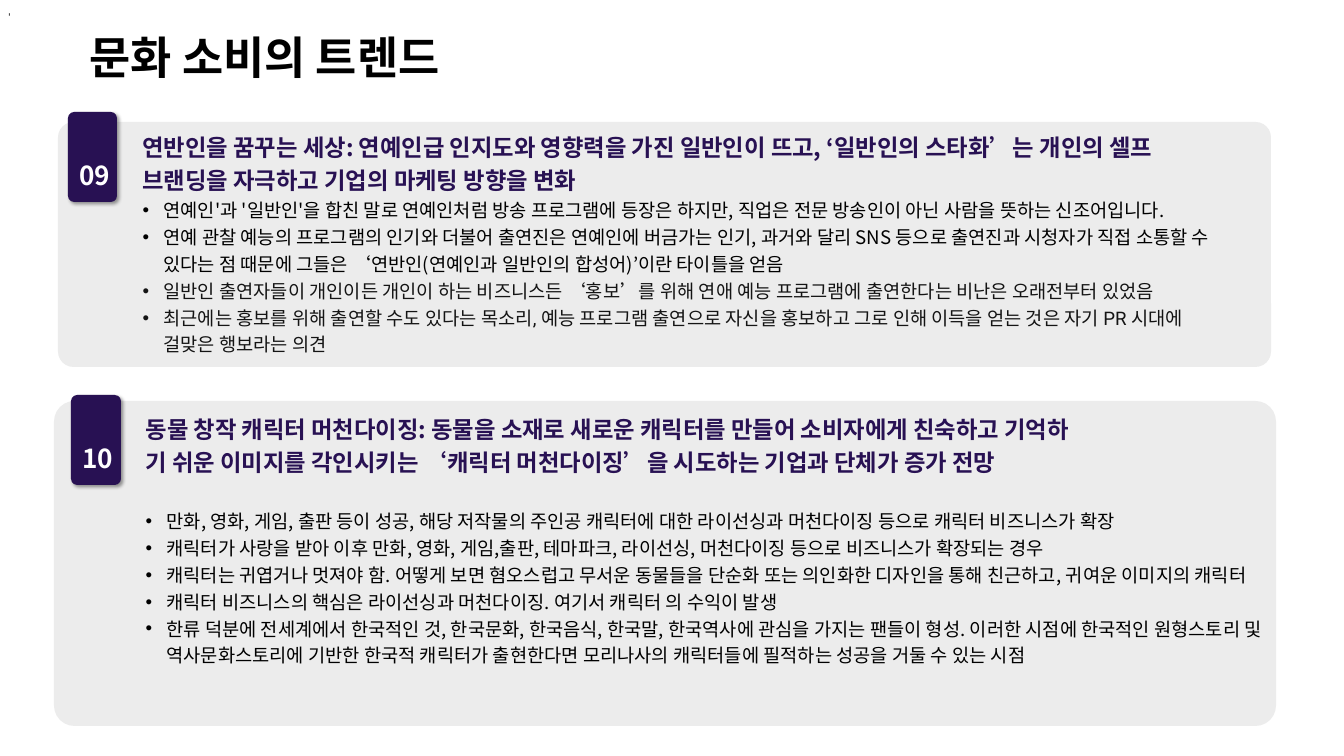
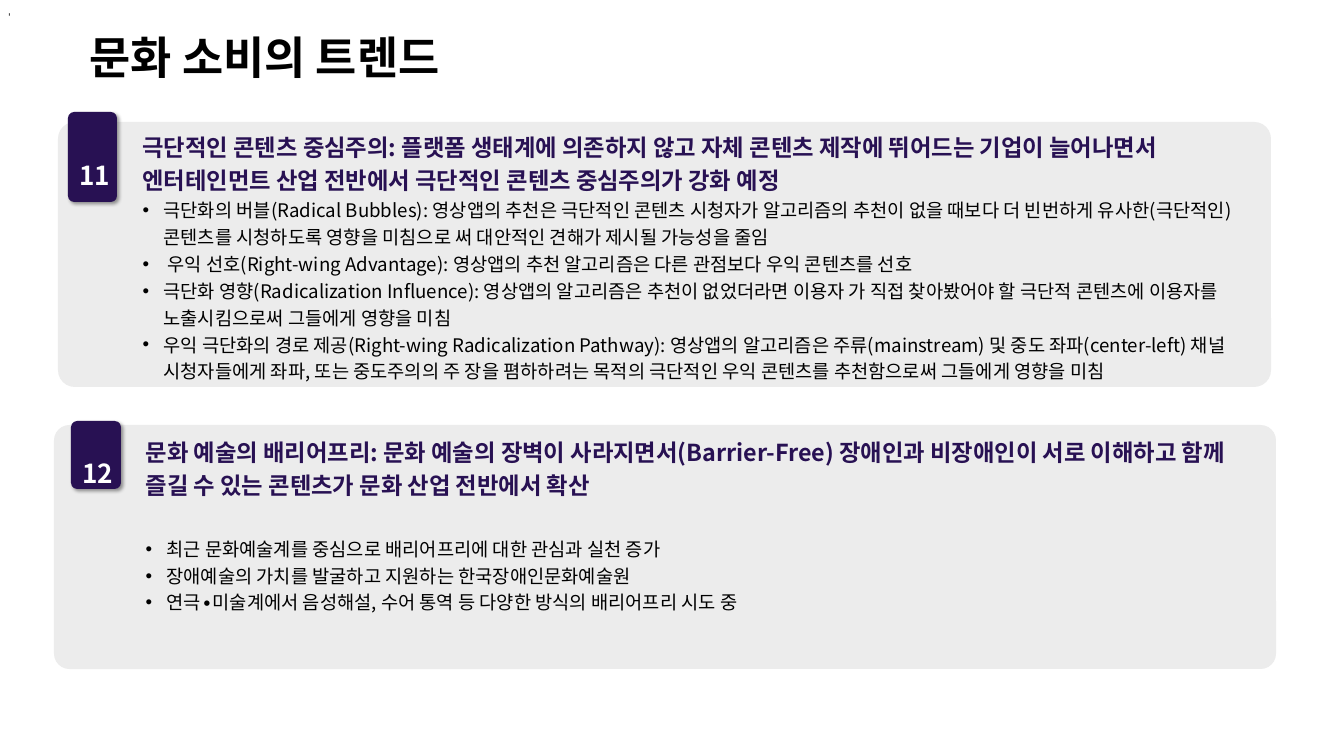
from dataclasses import dataclass

from lxml.etree import SubElement
from pptx import Presentation
from pptx.dml.color import RGBColor
from pptx.enum.shapes import MSO_SHAPE
from pptx.enum.text import MSO_ANCHOR, MSO_AUTO_SIZE, PP_ALIGN
from pptx.oxml.ns import qn
from pptx.util import Pt

EMU_PER_PX = 914400 / 67.2


def px(length):
    return round(length * EMU_PER_PX)


@dataclass(frozen=True)
class Theme:
    font: str = "Noto Sans CJK KR"
    article_font: str = "Roboto"
    mark_font: str = "DejaVu Sans Mono"
    black: str = "000000"
    article: str = "141414"
    white: str = "FFFFFF"
    panel: str = "ECECEC"
    accent: str = "281153"
    title_size: int = 48
    number_size: int = 28
    heading_size: int = 25
    body_size: int = 20
    mark_size: int = 10
    line_spacing: float = 1.2
    bullet_indent: int = 21


@dataclass(frozen=True)
class Column:
    panel_left: int
    panel_width: int
    tab_left: int
    tab_width: int
    body_width: int


@dataclass(frozen=True)
class Trend:
    number: str
    column: Column
    panel_top: int
    panel_height: int
    tab_top: int
    tab_height: int
    body_top: int
    body_height: int
    heading: tuple
    bullets: tuple
    heading_gap: int = 0
    article_from: int = 99


class Deck:
    def __init__(self, theme):
        self.theme = theme
        self.presentation = Presentation()
        self.presentation.slide_width = px(1344)
        self.presentation.slide_height = px(756)
        self.slide = None

    def add_slide(self):
        layout = self.presentation.slide_layouts[6]
        self.slide = self.presentation.slides.add_slide(layout)

    def add_run(self, paragraph, text, size, color, bold=False, font=None):
        run = paragraph.add_run()
        run.text = text
        run.font.name = font or self.theme.font
        run.font.size = Pt(size)
        run.font.bold = bold
        run.font.color.rgb = RGBColor.from_string(color)

    def add_text_box(self, shapes, left, top, width, height, wrap=True):
        box = shapes.add_textbox(px(left), px(top), px(width), px(height))
        frame = box.text_frame
        frame.word_wrap = wrap
        frame.auto_size = MSO_AUTO_SIZE.SHAPE_TO_FIT_TEXT
        return frame

    def add_title(self, text):
        frame = self.add_text_box(self.slide.shapes, 83, 26, 791, 61)
        self.add_run(frame.paragraphs[0], text, self.theme.title_size, self.theme.black, True)

    def add_corner_mark(self):
        frame = self.add_text_box(self.slide.shapes, 0, 8, 15, 18, wrap=False)
        frame.vertical_anchor = MSO_ANCHOR.MIDDLE
        self.add_run(frame.paragraphs[0], "'", self.theme.mark_size, self.theme.black,
                     font=self.theme.mark_font)

    def add_rounded(self, shapes, left, top, width, height, color, radius):
        shape = shapes.add_shape(MSO_SHAPE.ROUNDED_RECTANGLE,
                                 px(left), px(top), px(width), px(height))
        shape.adjustments[0] = radius
        shape.fill.solid()
        shape.fill.fore_color.rgb = RGBColor.from_string(color)
        shape.line.fill.background()
        shape.shadow.inherit = False
        return shape

    def add_shadow(self, shape):
        effects = shape._element.spPr.find(qn("a:effectLst"))
        shadow = SubElement(effects, qn("a:outerShdw"), blurRad=str(Pt(4)), dist=str(Pt(3)),
                            dir="2700000", algn="tl", rotWithShape="0")
        color = SubElement(shadow, qn("a:srgbClr"), val=self.theme.black)
        SubElement(color, qn("a:alpha"), val="40000")

    def add_tab(self, shapes, trend):
        column = trend.column
        tab = self.add_rounded(shapes, column.tab_left, trend.tab_top, column.tab_width,
                               trend.tab_height, self.theme.accent, 0.125)
        self.add_shadow(tab)
        frame = self.add_text_box(shapes, column.tab_left + 3,
                                  trend.tab_top + round(trend.tab_height * 0.49),
                                  47, round(trend.tab_height * 0.42))
        frame.paragraphs[0].alignment = PP_ALIGN.CENTER
        self.add_run(frame.paragraphs[0], trend.number, self.theme.number_size,
                     self.theme.white, True)

    def add_heading(self, paragraph, lines, gap):
        paragraph.line_spacing = self.theme.line_spacing
        paragraph.space_after = Pt(gap)
        for index, line in enumerate(lines):
            if index:
                paragraph.add_line_break()
            self.add_run(paragraph, line, self.theme.heading_size, self.theme.accent, True)

    def add_bullet(self, paragraph, text, color, font):
        paragraph.line_spacing = self.theme.line_spacing
        properties = paragraph._p.get_or_add_pPr()
        indent = px(self.theme.bullet_indent)
        properties.set("marL", str(indent))
        properties.set("indent", str(-indent))
        SubElement(properties, qn("a:buFont"), typeface="Arial")
        SubElement(properties, qn("a:buChar"), char="•")
        self.add_run(paragraph, text, self.theme.body_size, color, font=font)

    def add_trend(self, trend):
        theme, column = self.theme, trend.column
        shapes = self.slide.shapes.add_group_shape().shapes
        self.add_rounded(shapes, column.panel_left, trend.panel_top, column.panel_width,
                         trend.panel_height, theme.panel, 0.063)
        self.add_tab(shapes, trend)
        frame = self.add_text_box(shapes, column.tab_left + 68, trend.body_top,
                                  column.body_width, trend.body_height)
        self.add_heading(frame.paragraphs[0], trend.heading, trend.heading_gap)
        for index, text in enumerate(trend.bullets):
            is_article = index >= trend.article_from
            self.add_bullet(frame.add_paragraph(), text,
                            theme.article if is_article else theme.black,
                            theme.article_font if is_article else theme.font)


UPPER = Column(58, 1213, 68, 49, 1107)
LOWER = Column(54, 1222, 71, 50, 1131)

SLIDES = (
    (
        Trend(
            "09", UPPER, 122, 245, 112, 90, 124, 235,
            ("연반인을 꿈꾸는 세상: 연예인급 인지도와 영향력을 가진 일반인이 뜨고, ‘일반인의 스타화’는 개인의 셀프 브랜딩을 자극하고 기업의 마케팅 방향을 변화",),
            (
                "연예인'과 '일반인'을 합친 말로 연예인처럼 방송 프로그램에 등장은 하지만, 직업은 전문 방송인이 아닌 사람을 뜻하는 신조어입니다.",
                "연예 관찰 예능의 프로그램의 인기와 더불어 출연진은 연예인에 버금가는 인기, 과거와 달리 SNS 등으로 출연진과 시청자가 직접 소통할 수 있다는 점 때문에 그들은 ‘연반인(연예인과 일반인의 합성어)’이란 타이틀을 얻음",
                "일반인 출연자들이 개인이든 개인이 하는 비즈니스든 ‘홍보’를 위해 연애 예능 프로그램에 출연한다는 비난은 오래전부터 있었음",
                "최근에는 홍보를 위해 출연할 수도 있다는 목소리, 예능 프로그램 출연으로 자신을 홍보하고 그로 인해 이득을 얻는 것은 자기 PR 시대에 걸맞은 행보라는 의견",
            ),
            article_from=2,
        ),
        Trend(
            "10", LOWER, 401, 325, 395, 90, 406, 324,
            (
                "동물 창작 캐릭터 머천다이징: 동물을 소재로 새로운 캐릭터를 만들어 소비자에게 친숙하고 기억하",
                "기 쉬운 이미지를 각인시키는 ‘캐릭터 머천다이징’을 시도하는 기업과 단체가 증가 전망",
            ),
            (
                "만화, 영화, 게임, 출판 등이 성공, 해당 저작물의 주인공 캐릭터에 대한 라이선싱과 머천다이징 등으로 캐릭터 비즈니스가 확장",
                "캐릭터가 사랑을 받아 이후 만화, 영화, 게임,출판, 테마파크, 라이선싱, 머천다이징 등으로 비즈니스가 확장되는 경우",
                "캐릭터는 귀엽거나 멋져야 함. 어떻게 보면 혐오스럽고 무서운 동물들을 단순화 또는 의인화한 디자인을 통해 친근하고, 귀여운 이미지의 캐릭터",
                "캐릭터 비즈니스의 핵심은 라이선싱과 머천다이징. 여기서 캐릭터 의 수익이 발생",
                "한류 덕분에 전세계에서 한국적인 것, 한국문화, 한국음식, 한국말, 한국역사에 관심을 가지는 팬들이 형성. 이러한 시점에 한국적인 원형스토리 및 역사문화스토리에 기반한 한국적 캐릭터가 출현한다면 모리나사의 캐릭터들에 필적하는 성공을 거둘 수 있는 시점",
            ),
            heading_gap=31,
        ),
    ),
    (
        Trend(
            "11", UPPER, 122, 265, 112, 90, 124, 263,
            ("극단적인 콘텐츠 중심주의: 플랫폼 생태계에 의존하지 않고 자체 콘텐츠 제작에 뛰어드는 기업이 늘어나면서 엔터테인먼트 산업 전반에서 극단적인 콘텐츠 중심주의가 강화 예정",),
            (
                "극단화의 버블(Radical Bubbles): 영상앱의 추천은 극단적인 콘텐츠 시청자가 알고리즘의 추천이 없을 때보다 더 빈번하게 유사한(극단적인) 콘텐츠를 시청하도록 영향을 미침으로 써 대안적인 견해가 제시될 가능성을 줄임",
                " 우익 선호(Right-wing Advantage): 영상앱의 추천 알고리즘은 다른 관점보다 우익 콘텐츠를 선호",
                "극단화 영향(Radicalization Influence): 영상앱의 알고리즘은 추천이 없었더라면 이용자 가 직접 찾아봤어야 할 극단적 콘텐츠에 이용자를 노출시킴으로써 그들에게 영향을 미침",
                "우익 극단화의 경로 제공(Right-wing Radicalization Pathway): 영상앱의 알고리즘은 주류(mainstream) 및 중도 좌파(center-left) 채널 시청자들에게 좌파, 또는 중도주의의 주 장을 폄하하려는 목적의 극단적인 우익 콘텐츠를 추천함으로써 그들에게 영향을 미침",
            ),
        ),
        Trend(
            "12", LOWER, 425, 244, 421, 68, 429, 161,
            ("문화 예술의 배리어프리: 문화 예술의 장벽이 사라지면서(Barrier-Free) 장애인과 비장애인이 서로 이해하고 함께 즐길 수 있는 콘텐츠가 문화 산업 전반에서 확산",),
            (
                "최근 문화예술계를 중심으로 배리어프리에 대한 관심과 실천 증가",
                "장애예술의 가치를 발굴하고 지원하는 한국장애인문화예술원",
                "연극∙미술계에서 음성해설, 수어 통역 등 다양한 방식의 배리어프리 시도 중",
            ),
            heading_gap=36,
        ),
    ),
)


def main():
    deck = Deck(Theme())
    for trends in SLIDES:
        deck.add_slide()
        deck.add_title("문화 소비의 트렌드")
        for trend in trends:
            deck.add_trend(trend)
        deck.add_corner_mark()
    deck.presentation.save("out.pptx")


if __name__ == "__main__":
    main()
